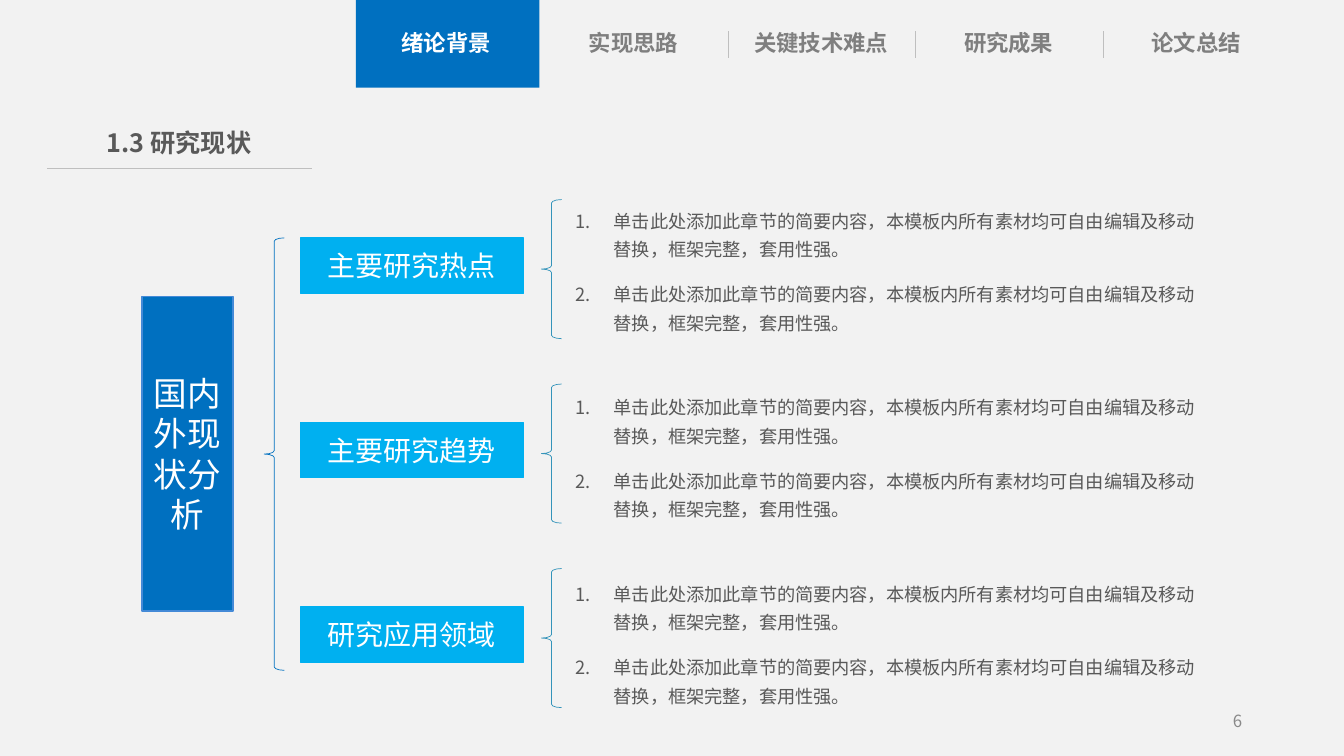
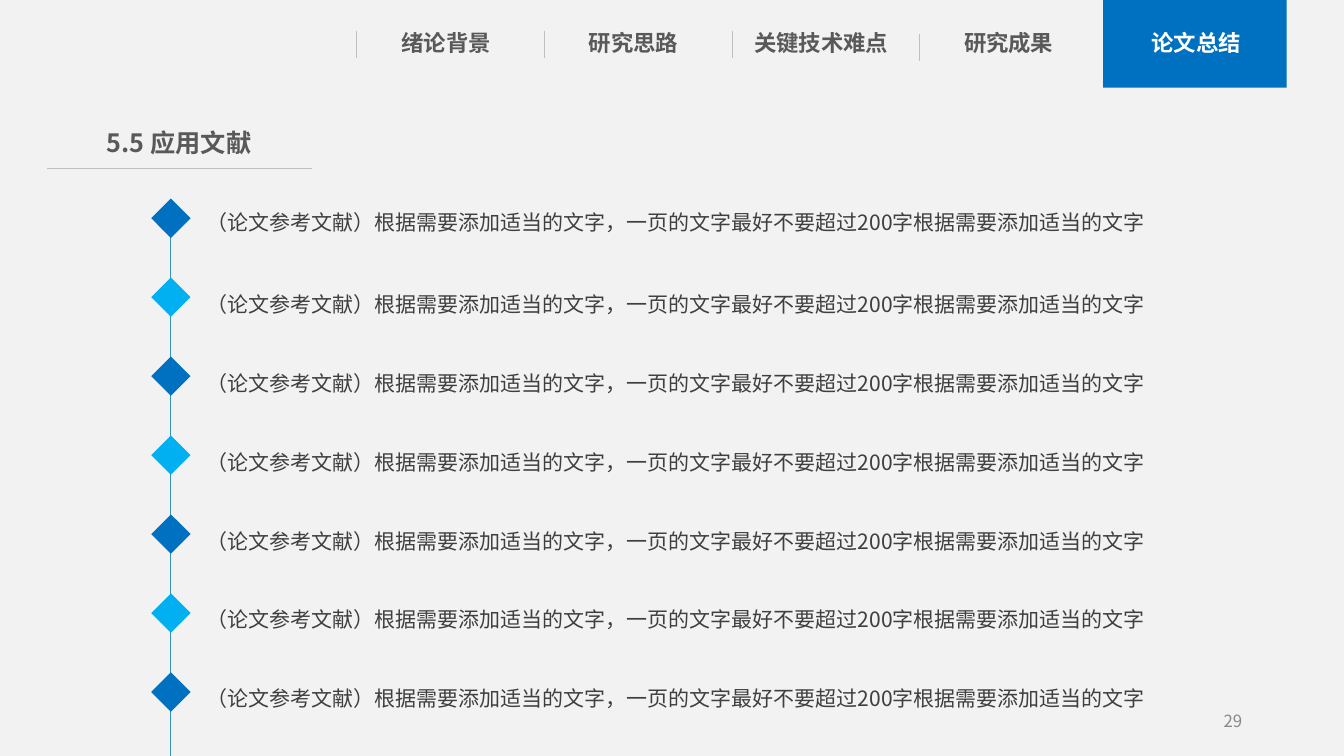
from lxml.etree import SubElement
from pptx import Presentation
from pptx.dml.color import RGBColor
from pptx.enum.shapes import MSO_CONNECTOR, MSO_SHAPE
from pptx.enum.text import MSO_ANCHOR, MSO_AUTO_SIZE, PP_ALIGN
from pptx.oxml.ns import qn
from pptx.util import Inches, Pt

FONT = "Noto Sans CJK SC"
COLORS = {
    "page": "F2F2F2", "blue": "0070C0", "sky": "00B0F0", "teal": "3494BA",
    "edge": "448AD7", "rule": "BFBFBF", "white": "FFFFFF", "title": "595959",
    "muted": "7F7F7F", "number": "898989", "body": "3F3F3F",
}

STATUS = {
    "title": "1.3 研究现状", "number": "6",
    "tabs": ["绪论背景", "实现思路", "关键技术难点", "研究成果", "论文总结"],
    "active": 0, "active_left": 3.53, "tab_color": "muted",
    "separators": [(7.22, 0.31), (9.08, 0.31), (10.94, 0.31)],
}
REFERENCES = {
    "title": "5.5 应用文献", "number": "29",
    "tabs": ["绪论背景", "研究思路", "关键技术难点", "研究成果", "论文总结"],
    "active": 4, "active_left": 10.94, "tab_color": "title",
    "separators": [(3.53, 0.31), (5.4, 0.31), (7.26, 0.31), (9.12, 0.34)],
}

ROOT_TOPIC = "国内外现状分析"
POINT = "单击此处添加此章节的简要内容，本模板内所有素材均可自由编辑及移动替换，框架完整，套用性强。"
BRANCHES = [
    ("主要研究热点", [POINT, POINT]),
    ("主要研究趋势", [POINT, POINT]),
    ("研究应用领域", [POINT, POINT]),
]
CITATIONS = ["（论文参考文献）根据需要添加适当的文字，一页的文字最好不要超过200字根据需要添加适当的文字"] * 7

TAB_LEFT, TAB_STEP = 3.69, 1.86
BRANCH_STEP, POINTS_STEP = 1.83, 1.85
FIRST_DIAMOND, LAST_DIAMOND, DIAMOND_SIZE = 1.97, 6.67, 0.39


def rgb(name):
    return RGBColor.from_string(COLORS[name])


def write(shape, paragraphs, size, color, bold=False, align=PP_ALIGN.LEFT,
          anchor=MSO_ANCHOR.TOP, insets=(0.1, 0.05, 0.1, 0.05), spacing=None):
    """Fill a shape with uniformly formatted paragraphs and return them."""
    frame = shape.text_frame
    left, top, right, bottom = map(Inches, insets)
    frame_format = {
        "word_wrap": True, "auto_size": MSO_AUTO_SIZE.NONE,
        "vertical_anchor": anchor, "margin_left": left, "margin_top": top,
        "margin_right": right, "margin_bottom": bottom,
    }
    for name, value in frame_format.items():
        setattr(frame, name, value)
    for index, text in enumerate(paragraphs):
        para = frame.paragraphs[0] if index == 0 else frame.add_paragraph()
        para.alignment = align
        for name, value in (spacing or {}).items():
            setattr(para, name, value)
        span = para.add_run()
        span.text = text
        for name, value in {"name": FONT, "size": Pt(size), "bold": bold}.items():
            setattr(span.font, name, value)
        span.font.color.rgb = rgb(color)
        SubElement(span.font._element, qn("a:ea"), typeface=FONT)
    return frame.paragraphs


def indent(para, width, number=None):
    """Give a paragraph a hanging indent and, if asked, a numbering style."""
    properties = para._p.get_or_add_pPr()
    properties.set("marL", str(Inches(width)))
    properties.set("indent", str(-Inches(width)))
    if number:
        SubElement(properties, qn("a:buFont"), typeface="+mj-lt")
        SubElement(properties, qn("a:buAutoNum"), type=number)


def add_text(page, bounds, paragraphs, size, color, **options):
    box = page.shapes.add_textbox(*map(Inches, bounds))
    return write(box, paragraphs, size, color, **options)


def add_block(page, preset, bounds, fill=None, line=None, line_width=1):
    shape = page.shapes.add_shape(preset, *map(Inches, bounds))
    shape.shadow.inherit = False
    if fill:
        shape.fill.solid()
        shape.fill.fore_color.rgb = rgb(fill)
    else:
        shape.fill.background()
    if line:
        shape.line.color.rgb = rgb(line)
        shape.line.width = Pt(line_width)
    else:
        shape.line.fill.background()
    return shape


def add_brace(page, bounds, color):
    brace = add_block(page, MSO_SHAPE.LEFT_BRACE, bounds, line=color, line_width=0.5)
    brace.adjustments[0] = 0.17


def add_line(page, start, end, color):
    line = page.shapes.add_connector(MSO_CONNECTOR.STRAIGHT, *map(Inches, start + end))
    line.line.color.rgb = rgb(color)
    line.line.width = Pt(0.5)
    SubElement(line._element.spPr, qn("a:effectLst"))


def add_page(deck, content):
    """Add a page with its navigation tabs, title and page number."""
    page = deck.slides.add_slide(deck.slide_layouts[5])
    narrow = {"bold": True, "align": PP_ALIGN.CENTER, "insets": (0, 0.05, 0, 0.05)}

    title = page.shapes.title
    bounds = map(Inches, (0.74, 1.21, 2.07, 0.42))
    for name, value in zip(("left", "top", "width", "height"), bounds):
        setattr(title, name, value)
    write(title, [content["title"]], 18, "title", **narrow)
    add_line(page, (0.47, 1.67), (3.09, 1.67), "rule")

    add_block(page, MSO_SHAPE.RECTANGLE, (content["active_left"], 0, 1.82, 0.87), "blue")
    for left, top in content["separators"]:
        add_line(page, (left, top), (left, top + 0.27), "rule")
    for index, tab in enumerate(content["tabs"]):
        color = "white" if index == content["active"] else content["tab_color"]
        add_text(page, (TAB_LEFT + index * TAB_STEP, 0.24, 1.47, 0.38),
                 [tab], 16, color, **narrow)

    add_text(page, (9.42, 6.95, 3, 0.4), [content["number"]], 12, "number",
             align=PP_ALIGN.RIGHT, anchor=MSO_ANCHOR.MIDDLE)
    return page


def build_status(deck):
    page = add_page(deck, STATUS)
    centred = {"align": PP_ALIGN.CENTER, "anchor": MSO_ANCHOR.MIDDLE}
    spacing = {"line_spacing": 1.3, "space_before": Pt(6), "space_after": Pt(6)}

    root = add_block(page, MSO_SHAPE.RECTANGLE, (1.41, 2.94, 0.9, 3.12), "blue", "edge")
    write(root, [ROOT_TOPIC], 24, "white", **centred)
    add_brace(page, (2.62, 2.36, 0.2, 4.29), "blue")

    for index, (topic, points) in enumerate(BRANCHES):
        offset = index * BRANCH_STEP
        label = add_block(page, MSO_SHAPE.RECTANGLE, (2.98, 2.36 + offset, 2.21, 0.55),
                          "sky", "sky")
        write(label, [topic], 20, "white", **centred)
        add_brace(page, (5.37, 1.98 + offset, 0.2, 1.38), "teal")
        for para in add_text(page, (5.61, 1.97 + index * POINTS_STEP, 6.34, 1.4),
                             points, 13, "title", spacing=spacing):
            indent(para, 0.38, "arabicPeriod")


def build_references(deck):
    page = add_page(deck, REFERENCES)
    add_line(page, (1.69, 2.02), (1.69, 7.5), "teal")
    step = (LAST_DIAMOND - FIRST_DIAMOND) / (len(CITATIONS) - 1)
    for index, citation in enumerate(CITATIONS):
        top = FIRST_DIAMOND + index * step
        add_block(page, MSO_SHAPE.DIAMOND, (1.5, top, DIAMOND_SIZE, DIAMOND_SIZE),
                  ("blue", "sky")[index % 2])
        lift = 0.12 if index else 0.15
        for para in add_text(page, (2.05, top - lift, 9.94, 0.62), [citation], 15, "body",
                             insets=(0, 0.13, 0.17, 0.09), spacing={"line_spacing": 1.5}):
            indent(para, 0.21)


def main():
    deck = Presentation()
    deck.slide_width, deck.slide_height = Inches(13.33), Inches(7.5)
    background = deck.slide_master.background.fill
    background.solid()
    background.fore_color.rgb = rgb("page")
    build_status(deck)
    build_references(deck)
    deck.save("out.pptx")


if __name__ == "__main__":
    main()
